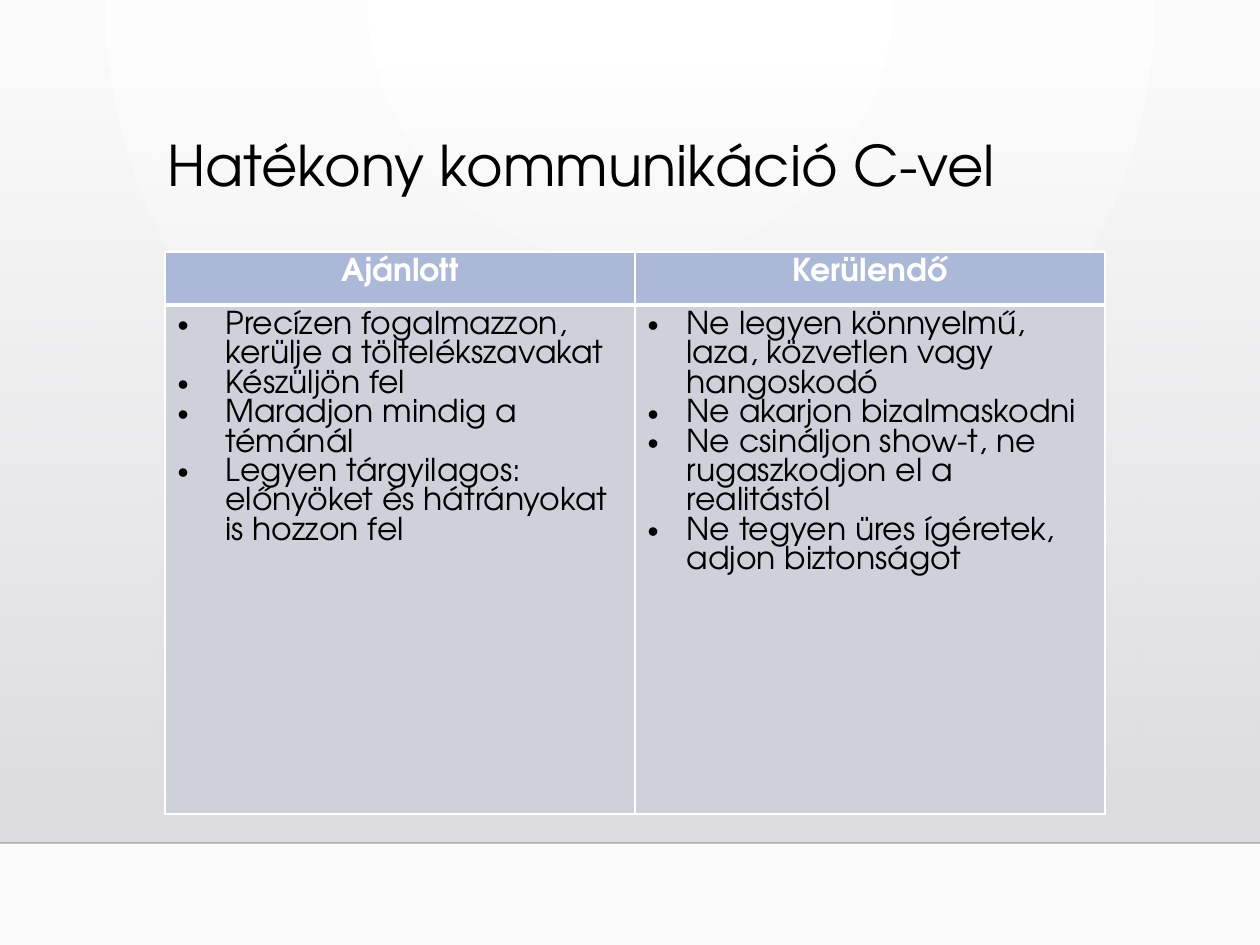
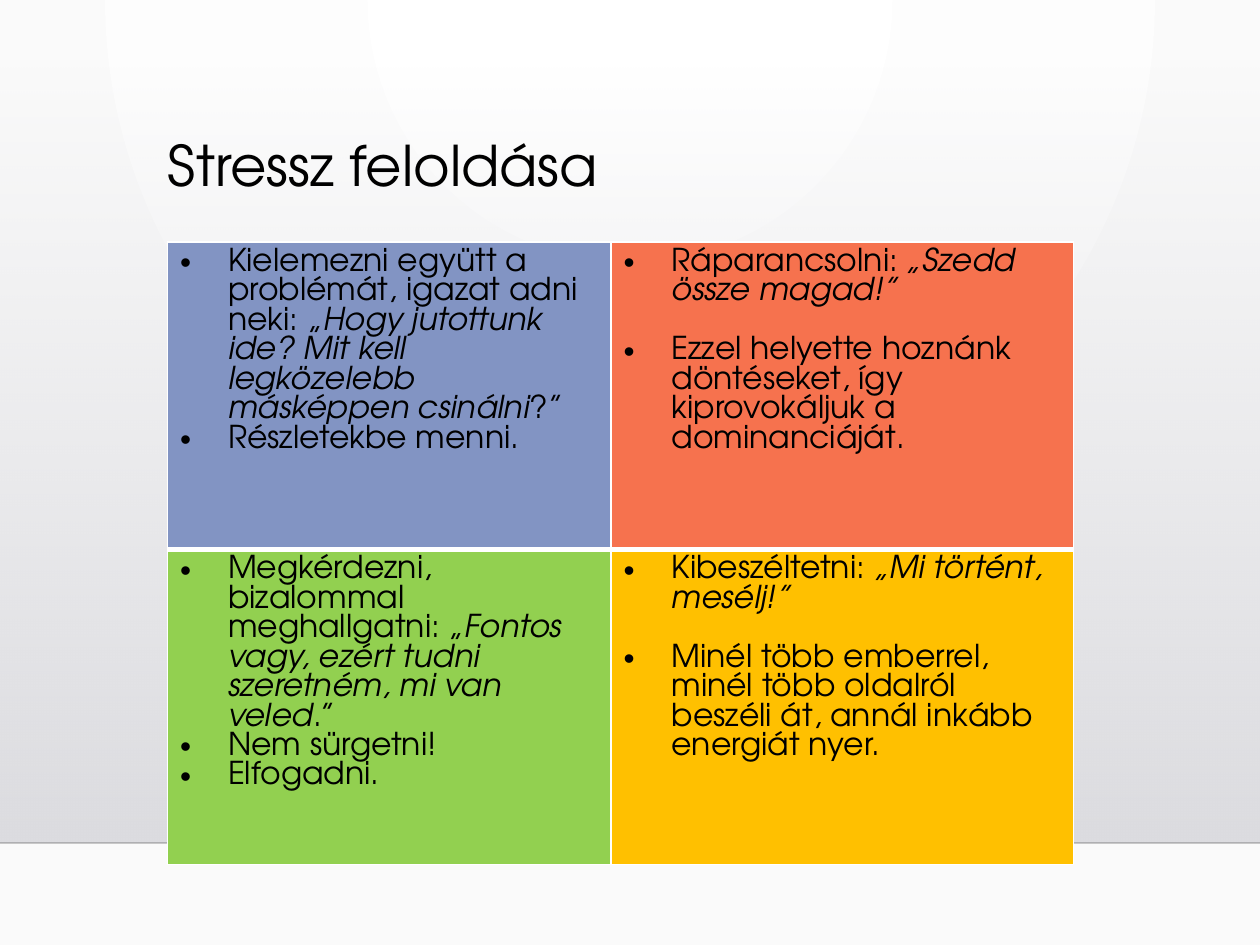
from dataclasses import dataclass

from lxml import etree
from pptx import Presentation
from pptx.dml.color import RGBColor
from pptx.enum.shapes import MSO_CONNECTOR, MSO_SHAPE
from pptx.enum.text import MSO_ANCHOR, PP_ALIGN
from pptx.oxml.ns import qn
from pptx.slide import Slide
from pptx.table import _Cell
from pptx.util import Inches, Pt

RECTANGLE = MSO_SHAPE.RECTANGLE
STRAIGHT = MSO_CONNECTOR.STRAIGHT
TOP = MSO_ANCHOR.TOP
CENTER, LEFT = PP_ALIGN.CENTER, PP_ALIGN.LEFT

FONT = "TeX Gyre Adventor"
BLACK, WHITE = "000000", "FFFFFF"
HEADER_FILL, BODY_FILL = "ABB8D7", "CFD1DA"
BLUE, ORANGE, GREEN, YELLOW = "8294C3", "F6724E", "92D050", "FFC000"
TITLE_SIZE, BODY_SIZE = 32, 18
BLANK_LINE = 16.85
WIDE_INDENT, NARROW_INDENT = 0.38, 0.31
THIN, THICK = 1, 3


@dataclass
class Item:
    """A paragraph; every second text of it is italic."""
    texts: list[str]
    space_before: float = 0


@dataclass
class CellText:
    items: list[Item]
    fill: str
    indent: float = WIDE_INDENT
    header: bool = False


@dataclass
class TableSlide:
    title: str
    left: float
    top: float
    columns: list[float]
    rows: list[float]
    cells: list[list[CellText]]


def color(value: str) -> RGBColor:
    return RGBColor.from_string(value)


def plain(*texts: str) -> list[Item]:
    return [Item([text]) for text in texts]


def set_alpha(color_element, percent: int) -> None:
    etree.SubElement(color_element, qn("a:alpha")).set("val", str(percent * 1000))


def set_gradient(fill, first: str, last: str) -> None:
    fill.gradient()
    for stop, value in zip(fill.gradient_stops, (first, last)):
        stop.color.rgb = color(value)


def draw_backdrop(slide: Slide) -> None:
    # Radial glow from the top centre
    set_gradient(slide.background.fill, WHITE, "FAFAFA")
    gradient = slide.element.find(".//" + qn("a:gradFill"))
    glow = etree.Element(qn("a:path"))
    glow.set("path", "circle")
    target = etree.SubElement(glow, qn("a:fillToRect"))
    for side, percent in zip("ltrb", (43, 0, 43, 100)):
        target.set(side, str(percent * 1000))
    gradient.replace(gradient.find(qn("a:lin")), glow)

    # Grey band that grows stronger downwards
    band = slide.shapes.add_shape(
        RECTANGLE, Inches(0), Inches(0.51), Inches(10), Inches(6.18))
    band.shadow.inherit = False
    band.line.fill.background()
    set_gradient(band.fill, "DCDCE0", "DEDEE2")
    band.fill.gradient_angle = 270
    set_alpha(band.element.find(".//" + qn("a:srgbClr")), 0)

    # Floor line
    floor = slide.shapes.add_connector(
        STRAIGHT, Inches(0), Inches(6.69), Inches(10), Inches(6.69))
    floor.line.width = Pt(1)
    floor.line.color.rgb = color("000001")
    set_alpha(floor.element.find(".//" + qn("a:srgbClr")), 20)
    etree.SubElement(floor.element.spPr, qn("a:effectLst"))


def format_font(font, size: float, value: str, bold: bool = False) -> None:
    font.name = FONT
    font.size = Pt(size)
    font.bold = bold
    font.color.rgb = color(value)


def draw_title(slide: Slide, title: str) -> None:
    box = slide.shapes.add_textbox(
        Inches(1.23), Inches(1.05), Inches(7.19), Inches(1.15))
    text_frame = box.text_frame
    text_frame.word_wrap = True
    text_frame.vertical_anchor = TOP
    text_frame.text = title
    paragraph = text_frame.paragraphs[0]
    paragraph.line_spacing = 0.9
    format_font(paragraph.runs[0].font, TITLE_SIZE, BLACK)


def add_bullet(paragraph, indent: float) -> None:
    properties = paragraph._p.get_or_add_pPr()
    properties.set("marL", str(Inches(indent)))
    properties.set("indent", str(-Inches(indent)))
    etree.SubElement(properties, qn("a:buFont")).set("typeface", "Arial")
    etree.SubElement(properties, qn("a:buChar")).set("char", "•")


def set_borders(cell: _Cell, top: float, bottom: float) -> None:
    properties = cell._tc.get_or_add_tcPr()
    for side, width in (("L", THIN), ("R", THIN), ("T", top), ("B", bottom)):
        line = etree.SubElement(properties, qn(f"a:ln{side}"))
        line.set("w", str(Pt(width)))
        fill = etree.SubElement(line, qn("a:solidFill"))
        etree.SubElement(fill, qn("a:srgbClr")).set("val", WHITE)


def fill_cell(cell: _Cell, content: CellText) -> None:
    cell.fill.solid()
    cell.fill.fore_color.rgb = color(content.fill)
    text_frame = cell.text_frame
    for index, item in enumerate(content.items):
        paragraph = text_frame.add_paragraph() if index else text_frame.paragraphs[0]
        paragraph.alignment = CENTER if content.header else LEFT
        if item.space_before:
            paragraph.space_before = Pt(item.space_before)
        if not content.header:
            add_bullet(paragraph, content.indent)
        for position, text in enumerate(item.texts):
            run = paragraph.add_run()
            run.text = text
            format_font(run.font, BODY_SIZE,
                        WHITE if content.header else BLACK, content.header)
            run.font.italic = position % 2 == 1


def draw_table(slide: Slide, content: TableSlide) -> None:
    frame = slide.shapes.add_table(
        len(content.rows), len(content.columns),
        Inches(content.left), Inches(content.top),
        Inches(sum(content.columns)), Inches(sum(content.rows)))
    table = frame.table
    table.first_row = False
    table.horz_banding = False
    for column, width in zip(table.columns, content.columns):
        column.width = Inches(width)
    for row_index, row in enumerate(content.cells):
        table.rows[row_index].height = Inches(content.rows[row_index])
        for column_index, cell_text in enumerate(row):
            cell = table.cell(row_index, column_index)
            # A thick rule separates the first row from the second
            set_borders(cell, THICK if row_index else THIN,
                        THIN if row_index else THICK)
            fill_cell(cell, cell_text)


SLIDES = [
    TableSlide(
        "Hatékony kommunikáció C-vel", 1.31, 2, [3.73, 3.73], [0.42, 4.04],
        [
            [CellText(plain(heading), HEADER_FILL, header=True)
             for heading in ("Ajánlott", "Kerülendő")],
            [
                CellText(plain(
                    "Precízen fogalmazzon, kerülje a töltelékszavakat",
                    "Készüljön fel",
                    "Maradjon mindig a témánál",
                    "Legyen tárgyilagos: előnyöket és hátrányokat is hozzon fel",
                ), BODY_FILL),
                CellText(plain(
                    "Ne legyen könnyelmű, laza, közvetlen vagy hangoskodó",
                    "Ne akarjon bizalmaskodni",
                    "Ne csináljon show-t, ne rugaszkodjon el a realitástól",
                    "Ne tegyen üres ígéretek, adjon biztonságot",
                ), BODY_FILL, NARROW_INDENT),
            ],
        ],
    ),
    TableSlide(
        "Stressz feloldása", 1.33, 1.92, [3.52, 3.67], [2.44, 1.97],
        [
            [
                CellText([
                    Item(["Kielemezni együtt a problémát, igazat adni neki: „",
                          "Hogy jutottunk ide? Mit kell legközelebb "
                          "másképpen csinálni", "?”"]),
                    Item(["Részletekbe menni."]),
                ], BLUE),
                CellText([
                    Item(["Ráparancsolni: ", "„Szedd össze magad!”"]),
                    Item(["Ezzel helyette hoznánk döntéseket, így "
                          "kiprovokáljuk a dominanciáját."], BLANK_LINE),
                ], ORANGE),
            ],
            [
                CellText([
                    Item(["Megkérdezni, bizalommal meghallgatni: „",
                          "Fontos vagy, ezért tudni szeretném, mi van veled",
                          ".”"]),
                    *plain("Nem sürgetni!", "Elfogadni."),
                ], GREEN),
                CellText([
                    Item(["Kibeszéltetni: ", "„Mi történt, mesélj!”"]),
                    Item(["Minél több emberrel, minél több oldalról beszéli "
                          "át, annál inkább energiát nyer."], BLANK_LINE),
                ], YELLOW),
            ],
        ],
    ),
]


def main() -> None:
    presentation = Presentation()
    presentation.slide_width = Inches(10)
    presentation.slide_height = Inches(7.5)
    blank_layout = presentation.slide_layouts[6]
    for content in SLIDES:
        slide = presentation.slides.add_slide(blank_layout)
        draw_backdrop(slide)
        draw_title(slide, content.title)
        draw_table(slide, content)
    presentation.save("out.pptx")


if __name__ == "__main__":
    main()
